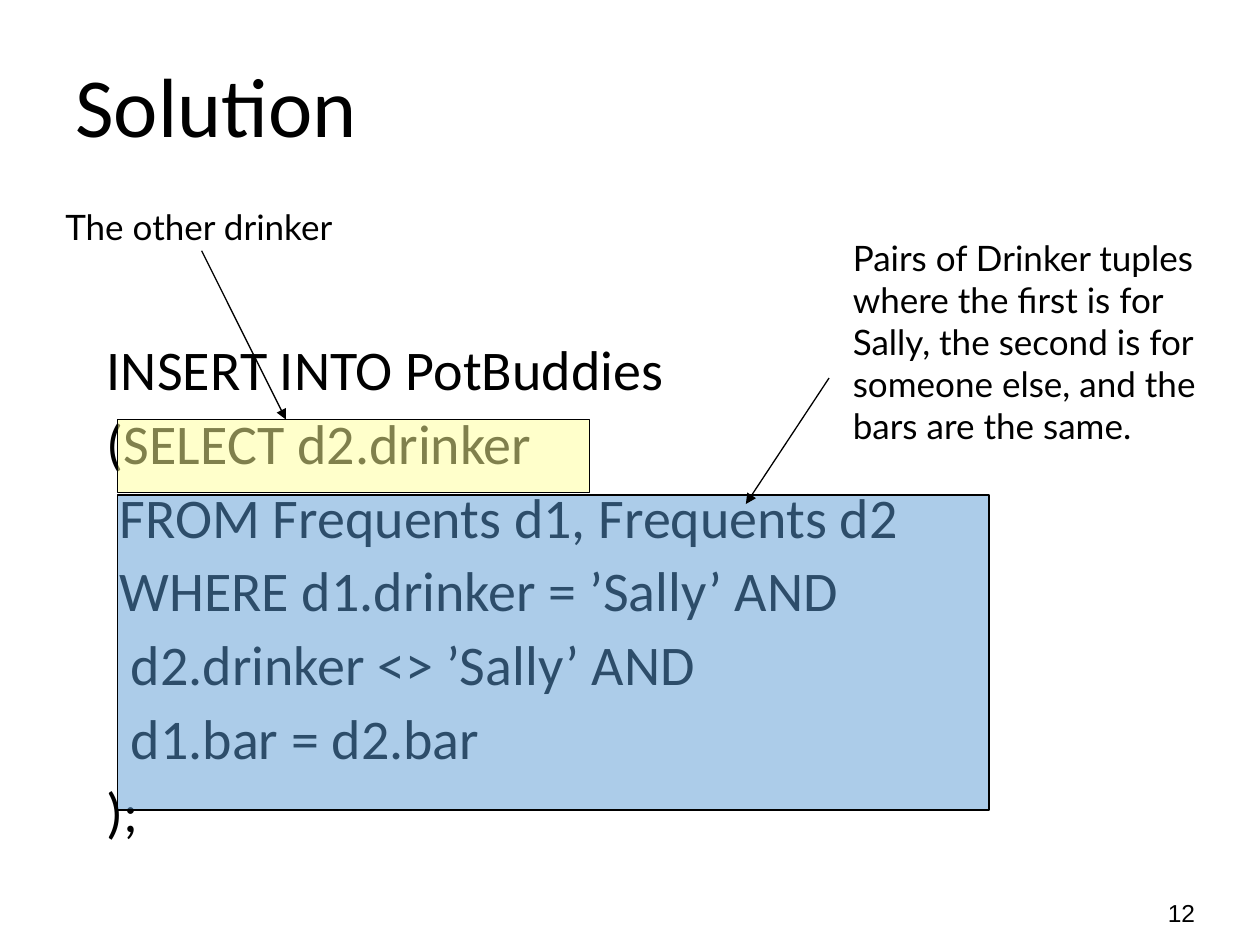
from lxml import etree
from pptx import Presentation
from pptx.dml.color import RGBColor
from pptx.enum.shapes import MSO_CONNECTOR, MSO_SHAPE
from pptx.enum.text import MSO_ANCHOR
from pptx.oxml.ns import qn
from pptx.util import Inches, Pt

STRAIGHT = MSO_CONNECTOR.STRAIGHT
RECTANGLE = MSO_SHAPE.RECTANGLE
MIDDLE = MSO_ANCHOR.MIDDLE
TOP = MSO_ANCHOR.TOP

BLACK = RGBColor(0x00, 0x00, 0x00)
BLUE = RGBColor(0x5B, 0x9B, 0xD5)
YELLOW = RGBColor(0xFF, 0xFF, 0x99)

NUMBER_FONT = {"name": "Arial", "size": Pt(14)}
TITLE_FONT = {"name": "Calibri", "size": Pt(48)}
CODE_FONT = {"name": "Calibri", "size": Pt(32)}
NOTE_FONT = {"name": "Lato", "size": Pt(20)}

TIGHT = {"line_spacing": 0.9}
CODE_GAP = Pt(7.5)
CODE_INDENT = Inches(0.19)

QUERY = [
    "INSERT INTO PotBuddies",
    "(SELECT d2.drinker",
    " FROM Frequents d1, Frequents d2",
    " WHERE d1.drinker = ’Sally’ AND",
    "\td2.drinker <> ’Sally’ AND",
    "\td1.bar = d2.bar",
    ");",
]
PAIRS_NOTE = [
    "Pairs of Drinker tuples where the first is for Sally, the second is for",
    "someone else, and the bars are the same.",
]


def apply_format(target, values):
    for attribute, value in values.items():
        setattr(target, attribute, value)


def add_text(slide, box, lines, font, spacing=None, anchor=TOP):
    """Add a wrapped text box with one paragraph per line."""
    frame = slide.shapes.add_textbox(*map(Inches, box)).text_frame
    apply_format(frame, {"word_wrap": True, "vertical_anchor": anchor})
    for index, line in enumerate(lines):
        paragraph = frame.add_paragraph() if index else frame.paragraphs[0]
        apply_format(paragraph, spacing or {})
        run = paragraph.add_run()
        run.text = line
        apply_format(run.font, font)
        run.font.color.rgb = BLACK
    return frame


def add_query(slide, box):
    """Add the SQL text with a hanging indent and gaps between its lines."""
    frame = add_text(slide, box, QUERY, CODE_FONT, TIGHT)
    for index, paragraph in enumerate(frame.paragraphs):
        properties = paragraph._p.get_or_add_pPr()
        properties.set("marL", str(CODE_INDENT))
        properties.set("indent", str(-CODE_INDENT))
        if index:
            paragraph.space_before = CODE_GAP


def set_outline(line):
    line.color.rgb = BLACK
    line.width = Pt(0.75)


def add_highlight(slide, box, color):
    """Add an outlined, half-transparent rectangle over part of the query."""
    highlight = slide.shapes.add_shape(RECTANGLE, *map(Inches, box))
    highlight.shadow.inherit = False
    highlight.fill.solid()
    highlight.fill.fore_color.rgb = color
    color_element = highlight._element.spPr.find(qn("a:solidFill"))[0]
    etree.SubElement(color_element, qn("a:alpha"), val="50000")
    set_outline(highlight.line)


def add_arrow(slide, start, end):
    arrow = slide.shapes.add_connector(STRAIGHT, *map(Inches, start + end))
    set_outline(arrow.line)
    properties = arrow._element.spPr
    etree.SubElement(properties.find(qn("a:ln")), qn("a:tailEnd"), type="triangle")
    etree.SubElement(properties, qn("a:effectLst"))


def main():
    presentation = Presentation()
    presentation.slide_width = Inches(10)
    presentation.slide_height = Inches(7.5)
    slide = presentation.slides.add_slide(presentation.slide_layouts[6])

    add_text(slide, (9.17, 7.08, 0.58, 0.34), ["12"], NUMBER_FONT)
    add_text(slide, (0.5, 0.25, 8.5, 1.25), ["Solution"], TITLE_FONT, TIGHT, MIDDLE)
    add_query(slide, (0.75, 2.67, 8.5, 5.17))

    add_highlight(slide, (0.93, 3.93, 6.92, 2.5), BLUE)
    add_text(slide, (6.67, 1.83, 3.33, 1.77), PAIRS_NOTE, NOTE_FONT)
    add_arrow(slide, (6.58, 3), (5.92, 4))

    add_highlight(slide, (0.93, 3.33, 3.75, 0.58), YELLOW)
    add_text(slide, (0.42, 1.58, 3.67, 0.44), ["The other drinker"], NOTE_FONT)
    add_arrow(slide, (1.6, 1.99), (2.27, 3.33))

    presentation.save("out.pptx")


if __name__ == "__main__":
    main()
